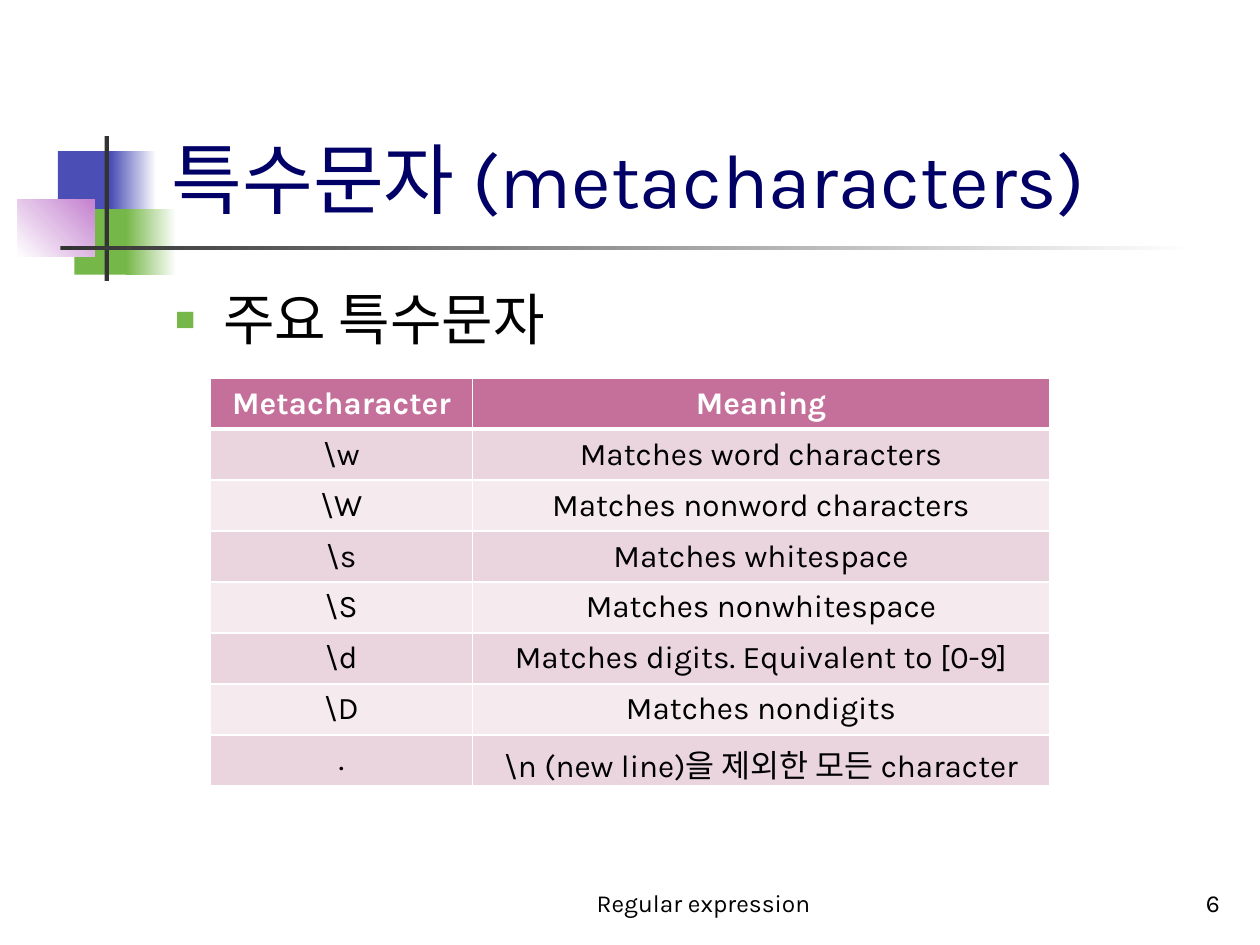
from lxml import etree
from pptx import Presentation
from pptx.dml.color import RGBColor
from pptx.enum.shapes import MSO_SHAPE
from pptx.enum.text import MSO_ANCHOR, MSO_AUTO_SIZE, PP_ALIGN
from pptx.oxml.ns import qn
from pptx.util import Inches, Pt

RECTANGLE = MSO_SHAPE.RECTANGLE
LEFT, CENTER, RIGHT = PP_ALIGN.LEFT, PP_ALIGN.CENTER, PP_ALIGN.RIGHT
TOP, MIDDLE, BOTTOM = MSO_ANCHOR.TOP, MSO_ANCHOR.MIDDLE, MSO_ANCHOR.BOTTOM
NO_FIT = MSO_AUTO_SIZE.NONE

WIDTH, HEIGHT = Inches(10), Inches(7.5)
FONT = "Karla"
WHITE, BLACK, GRAY, NAVY = "FFFFFF", "000000", "333333", "000066"
BLUE, GREEN, VIOLET = "4B4EB5", "76B749", "C481CF"
HEADER_FILL, BAND_FILLS = "C4709A", ("EAD5DE", "F5EBEF")

# Percent of slide width and height, then gradient colours and angle.
DECORATIONS = [
    ((4.6, 16, 4.8, 6.93), (BLUE,), 0),
    ((8.8, 16, 3.6, 6.93), (BLUE, WHITE), 0),
    ((5.9, 22.13, 4.6, 6.93), (GREEN,), 0),
    ((10, 22.13, 4, 6.93), (GREEN, WHITE), 0),
    ((1.4, 21.07, 6.1, 6.13), (WHITE, VIOLET), 45),
    ((8.3, 14.4, 0.35, 15.33), (GRAY,), 0),
    ((4.8, 26, 90, 0.45), (GRAY, WHITE), 0),
]

ROWS = [
    ("Metacharacter", "Meaning"),
    (r"\w", "Matches word characters"),
    (r"\W", "Matches nonword characters"),
    (r"\s", "Matches whitespace"),
    (r"\S", "Matches nonwhitespace"),
    (r"\d", "Matches digits. Equivalent to [0-9]"),
    (r"\D", "Matches nondigits"),
    (".", r"\n (new line)을 제외한 모든 character"),
]


def color(value):
    return RGBColor.from_string(value)


def share(left, top, width, height):
    return {
        "left": int(WIDTH * left / 100),
        "top": int(HEIGHT * top / 100),
        "width": int(WIDTH * width / 100),
        "height": int(HEIGHT * height / 100),
    }


def apply(target, values):
    for name, value in values.items():
        setattr(target, name, value)


def write(frame, text, size, tint, align=LEFT, bold=False):
    para = frame.paragraphs[0]
    para.alignment = align
    span = para.add_run()
    span.text = text
    apply(span.font, {"name": FONT, "size": Pt(size), "bold": bold})
    span.font.color.rgb = color(tint)
    return para


def add_decoration(page, area, tints, angle):
    box = page.shapes.add_shape(RECTANGLE, **share(*area))
    box.shadow.inherit = False
    box.line.fill.background()
    if len(tints) == 1:
        box.fill.solid()
        box.fill.fore_color.rgb = color(tints[0])
        return
    box.fill.gradient()
    box.fill.gradient_angle = angle
    for stop, tint in zip(box.fill.gradient_stops, tints):
        stop.color.rgb = color(tint)


def fill_placeholder(page, holder, area, text, size, tint, anchor):
    page.shapes.element.append(holder.element)
    apply(holder, share(*area))
    apply(holder.text_frame, {"vertical_anchor": anchor, "word_wrap": True, "auto_size": NO_FIT})
    return write(holder.text_frame, text, size, tint)


def add_bullet(para):
    para.space_before = Pt(6.4)
    props = para._p.get_or_add_pPr()
    props.set("marL", str(Inches(0.38)))
    props.set("indent", str(-Inches(0.38)))
    bullet_color = etree.SubElement(props, qn("a:buClr"))
    etree.SubElement(bullet_color, qn("a:srgbClr"), val=GREEN)
    etree.SubElement(props, qn("a:buSzPct"), val="60000")
    etree.SubElement(props, qn("a:buChar"), char="■")


def add_footer(page, area, text, align):
    box = page.shapes.add_textbox(**share(*area))
    apply(box.text_frame, {"word_wrap": True, "vertical_anchor": BOTTOM})
    write(box.text_frame, text, 14, BLACK, align)


def add_border(cell, side, points):
    line = etree.SubElement(cell._tc.get_or_add_tcPr(), qn(f"a:ln{side}"), w=str(Pt(points)))
    fill = etree.SubElement(line, qn("a:solidFill"))
    etree.SubElement(fill, qn("a:srgbClr"), val=WHITE)


def format_cell(cell, row, text):
    header = row == 0
    thick = {(0, "B"), (1, "T")}
    for side in "LRTB":
        add_border(cell, side, 3 if (row, side) in thick else 1)
    cell.fill.solid()
    cell.fill.fore_color.rgb = color(HEADER_FILL if header else BAND_FILLS[(row - 1) % 2])
    cell.vertical_anchor = MIDDLE
    write(cell.text_frame, text, 18, WHITE if header else BLACK, CENTER, header)


def add_meanings(page):
    frame = page.shapes.add_table(len(ROWS), 2, **share(16.7, 40, 66.6, 43.2))
    table = frame.table
    for column, width in zip(table.columns, (2.08, 4.58)):
        column.width = Inches(width)
    for row, texts in enumerate(ROWS):
        for column, text in enumerate(texts):
            format_cell(table.cell(row, column), row, text)


def main():
    deck = Presentation()
    apply(deck, {"slide_width": WIDTH, "slide_height": HEIGHT})
    page = deck.slides.add_slide(deck.slide_layouts[1])
    for area, tints, angle in DECORATIONS:
        add_decoration(page, area, tints, angle)
    title, body = page.shapes.title, page.placeholders[1]
    fill_placeholder(page, title, (12.6, 3.07, 85.2, 21.33),
                     "특수문자 (metacharacters)", 44, NAVY, BOTTOM)
    add_bullet(fill_placeholder(page, body, (12.9, 29.47, 85, 60),
                                "주요 특수문자", 32, BLACK, TOP))
    add_footer(page, (40, 91.07, 31.7, 6.67), "Regular expression", CENTER)
    add_meanings(page)
    add_footer(page, (77, 91.07, 20.8, 6.67), "6", RIGHT)
    deck.save("out.pptx")


if __name__ == "__main__":
    main()
